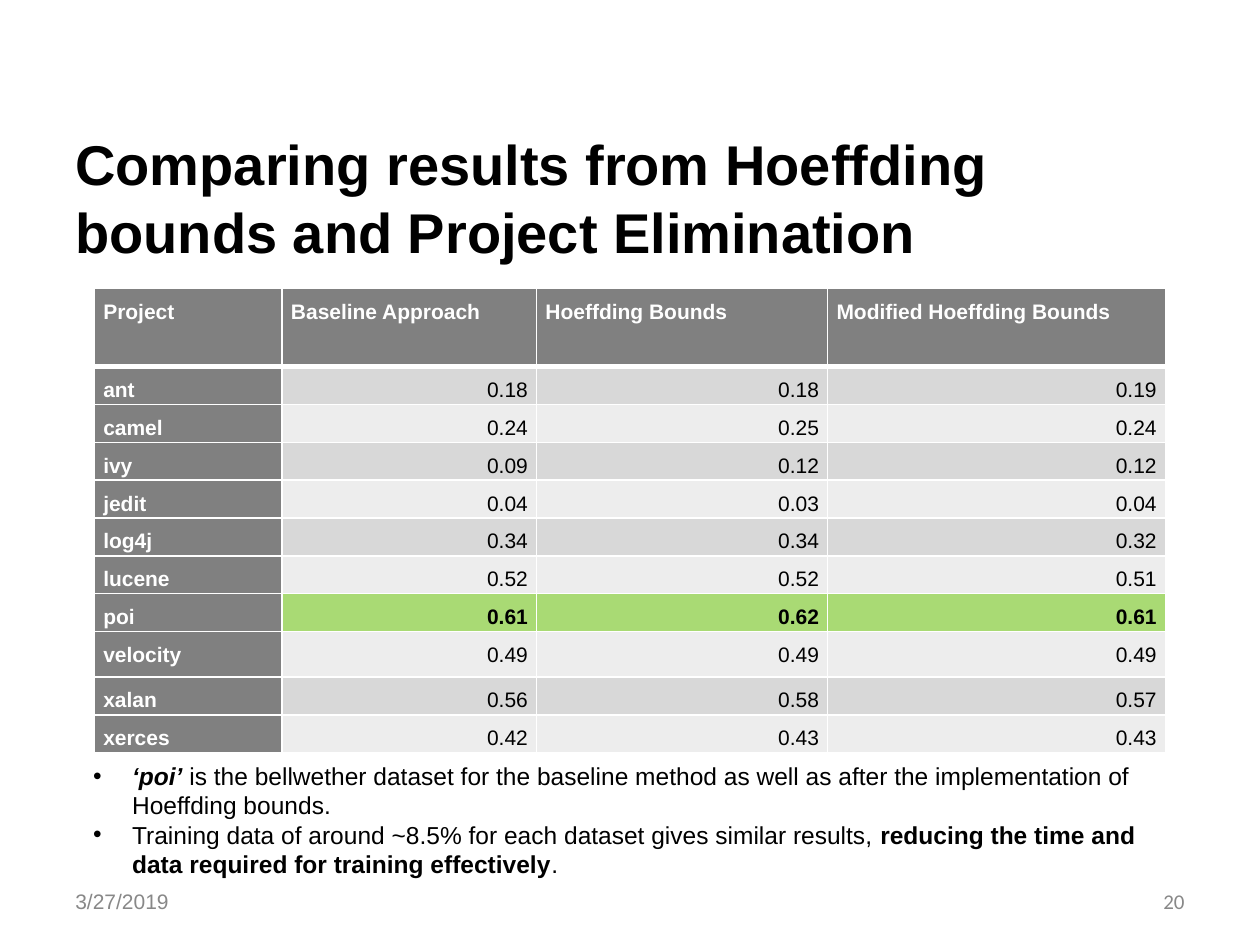
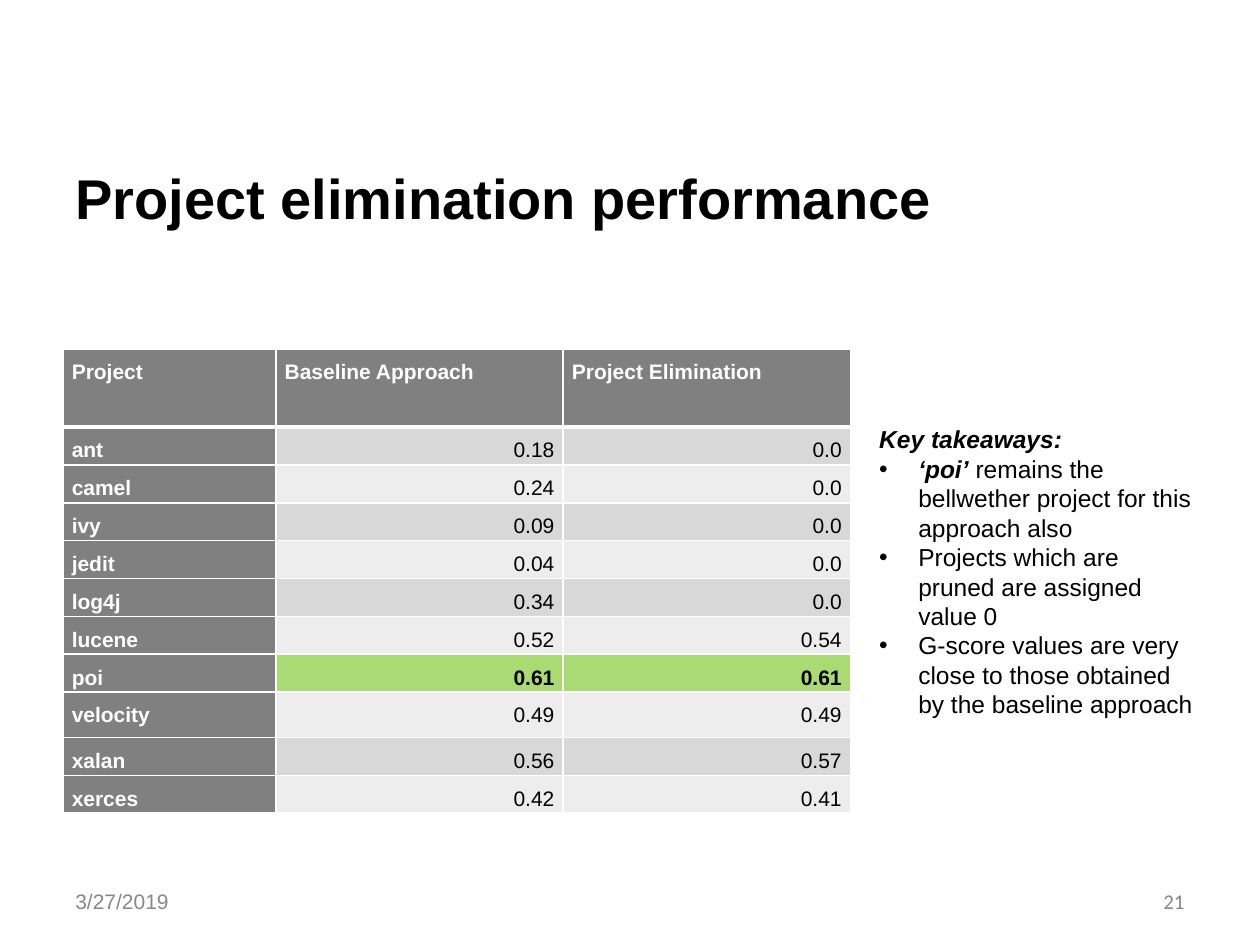
from lxml.etree import SubElement
from pptx import Presentation
from pptx.dml.color import RGBColor
from pptx.enum.text import MSO_ANCHOR as Anchor, PP_ALIGN as Align
from pptx.oxml.ns import qn
from pptx.util import Inches, Pt

BLACK, WHITE, GREY = "000000", "FFFFFF", "888888"
HEADING_FILL, WINNER_FILL = "808080", "A9DA74"
BAND_FILLS = ["EDEDED", "D8D8D8"]
HEADER_HEIGHT, TALL_HEIGHT = 0.62, 0.36
WINNER, TALL_ROW = "poi", "velocity"
DATE = "3/27/2019"

PROJECTS = ["ant", "camel", "ivy", "jedit", "log4j", "lucene", "poi", "velocity", "xalan", "xerces"]
BASELINE = ["0.18", "0.24", "0.09", "0.04", "0.34", "0.52", "0.61", "0.49", "0.56", "0.42"]
HOEFFDING = ["0.18", "0.25", "0.12", "0.03", "0.34", "0.52", "0.62", "0.49", "0.58", "0.43"]
MODIFIED = ["0.19", "0.24", "0.12", "0.04", "0.32", "0.51", "0.61", "0.49", "0.57", "0.43"]
ELIMINATION = ["0.0"] * 5 + ["0.54", "0.61", "0.49", "0.57", "0.41"]

STRONG = {"bold": True}
STRONG_ITALIC = {"bold": True, "italic": True}


def color(value):
    """Turn a hex string into a colour."""
    return RGBColor.from_string(value)


def apply(target, values):
    """Set each named attribute on the target."""
    for name, value in values.items():
        setattr(target, name, value)


def add_span(para, text, size, hue=BLACK, **values):
    """Append one formatted run to a paragraph."""
    span = para.add_run()
    span.text = text
    apply(span.font, {"name": "Arial", "size": Pt(size), "bold": False, **values})
    span.font.color.rgb = color(hue)


def add_text_frame(page, box, **values):
    """Add a wrapping text box and return its frame."""
    frame = page.shapes.add_textbox(*map(Inches, box)).text_frame
    apply(frame, {"word_wrap": True, **values})
    return frame


def add_label(page, box, text, size, hue=BLACK, align=Align.LEFT, inset=0.1, **values):
    """Add one vertically centred line of text."""
    frame = add_text_frame(page, box, vertical_anchor=Anchor.MIDDLE,
                           margin_top=Inches(inset), margin_bottom=Inches(inset))
    para = frame.paragraphs[0]
    para.alignment = align
    add_span(para, text, size, hue, **values)


def add_bullet(para):
    """Give a paragraph a hanging round bullet."""
    props = para._p.get_or_add_pPr()
    props.set("marL", str(Inches(0.31)))
    props.set("indent", str(-Inches(0.31)))
    SubElement(SubElement(props, qn("a:buClr")), qn("a:srgbClr"), val=BLACK)
    SubElement(props, qn("a:buFont"), typeface="Arial")
    SubElement(props, qn("a:buChar"), char="•")


def add_notes_box(page, box, items, heading=None):
    """Add bulleted remarks, each a list of (text, format) spans."""
    frame = add_text_frame(page, box)
    rows = ([[(heading, STRONG_ITALIC)]] if heading else []) + items
    for index, spans in enumerate(rows):
        para = frame.add_paragraph() if index else frame.paragraphs[0]
        if index or not heading:
            add_bullet(para)
        for text, values in spans:
            add_span(para, text, 14, **values)


def add_borders(cell, row):
    """Draw white cell borders, heavier below the header."""
    props = cell._tc.get_or_add_tcPr()
    widths = {"lnL": 1, "lnR": 1, "lnT": 3 if row == 1 else 1, "lnB": 1 if row else 3}
    for side, width in widths.items():
        line = SubElement(props, qn(f"a:{side}"), w=str(Pt(width)))
        SubElement(SubElement(line, qn("a:solidFill")), qn("a:srgbClr"), val=WHITE)


def fill_cell(cell, row, text, fill, is_heading, bold):
    """Format one table cell and write its text."""
    apply(cell, {"margin_left": Inches(0.07), "margin_right": Inches(0.07),
                 "margin_top": 0, "margin_bottom": 0})
    add_borders(cell, row)
    cell.fill.solid()
    cell.fill.fore_color.rgb = color(fill)
    para = cell.text_frame.paragraphs[0]
    apply(para, {"line_spacing": 1.5, "alignment": Align.LEFT if is_heading else Align.RIGHT})
    add_span(para, text, 12, WHITE if is_heading else BLACK, bold=bold)


def add_score_table(page, box, widths, columns):
    """Add the table of scores per project from a dict of columns."""
    rows = [list(columns), *zip(*columns.values())]
    table = page.shapes.add_table(len(rows), len(columns), *map(Inches, box)).table
    for column, width in zip(table.columns, widths):
        column.width = Inches(width)
    plain_height = (box[3] - HEADER_HEIGHT - TALL_HEIGHT) / (len(rows) - 2)
    heights = {"Project": HEADER_HEIGHT, TALL_ROW: TALL_HEIGHT}
    for row, values in enumerate(rows):
        project = values[0]
        table.rows[row].height = Inches(heights.get(project, plain_height))
        body_fill = WINNER_FILL if project == WINNER else BAND_FILLS[row % 2]
        for column, text in enumerate(values):
            is_heading = row == 0 or column == 0
            fill_cell(table.cell(row, column), row, text,
                      HEADING_FILL if is_heading else body_fill,
                      is_heading, is_heading or project == WINNER)


def add_page(deck, title, number):
    """Add a blank slide with the shared title, date and page number."""
    page = deck.slides.add_slide(deck.slide_layouts[6])
    add_label(page, (0.5, 0.98, 9, 1.17), title, 32, bold=True)
    add_label(page, (0.5, 6.95, 2.33, 0.4), DATE, 12, GREY)
    add_label(page, (7.17, 6.95, 2.33, 0.4), str(number), 12, GREY, Align.RIGHT, 0.05, name="Calibri")
    return page


def build_comparison(deck):
    """Build the slide comparing the Hoeffding bound variants."""
    page = add_page(deck, "Comparing results from Hoeffding bounds and Project Elimination", 20)
    add_score_table(page, (0.75, 2.29, 8.5, 3.56), [1.49, 2.02, 2.31, 2.68], {
        "Project": PROJECTS, "Baseline Approach": BASELINE,
        "Hoeffding Bounds": HOEFFDING, "Modified Hoeffding Bounds": MODIFIED})
    add_notes_box(page, (0.64, 5.99, 8.75, 1.04), [
        [("‘poi’", STRONG_ITALIC),
         (" is the bellwether dataset for the baseline method as well as after"
          " the implementation of Hoeffding bounds.", {})],
        [("Training data of around ~8.5% for each dataset gives similar results, ", {}),
         ("reducing the time and data required for training effectively", STRONG),
         (".", {})]])


def build_elimination(deck):
    """Build the slide on project elimination."""
    page = add_page(deck, "Project elimination performance", 21)
    add_score_table(page, (0.5, 2.77, 6.24, 3.56), [1.69, 2.28, 2.28], {
        "Project": PROJECTS, "Baseline Approach": BASELINE, "Project Elimination": ELIMINATION})
    add_notes_box(page, (6.88, 3.32, 2.74, 2.46), [
        [("‘poi’", STRONG_ITALIC), (" remains the bellwether project for this approach also", {})],
        [("Projects which are pruned are assigned value 0", {})],
        [("G-score values are very close to those obtained by the baseline approach", {})]],
        heading="Key takeaways:")


def main():
    """Build and save the deck."""
    deck = Presentation()
    apply(deck, {"slide_width": Inches(10), "slide_height": Inches(7.5)})
    build_comparison(deck)
    build_elimination(deck)
    deck.save("out.pptx")


if __name__ == "__main__":
    main()
